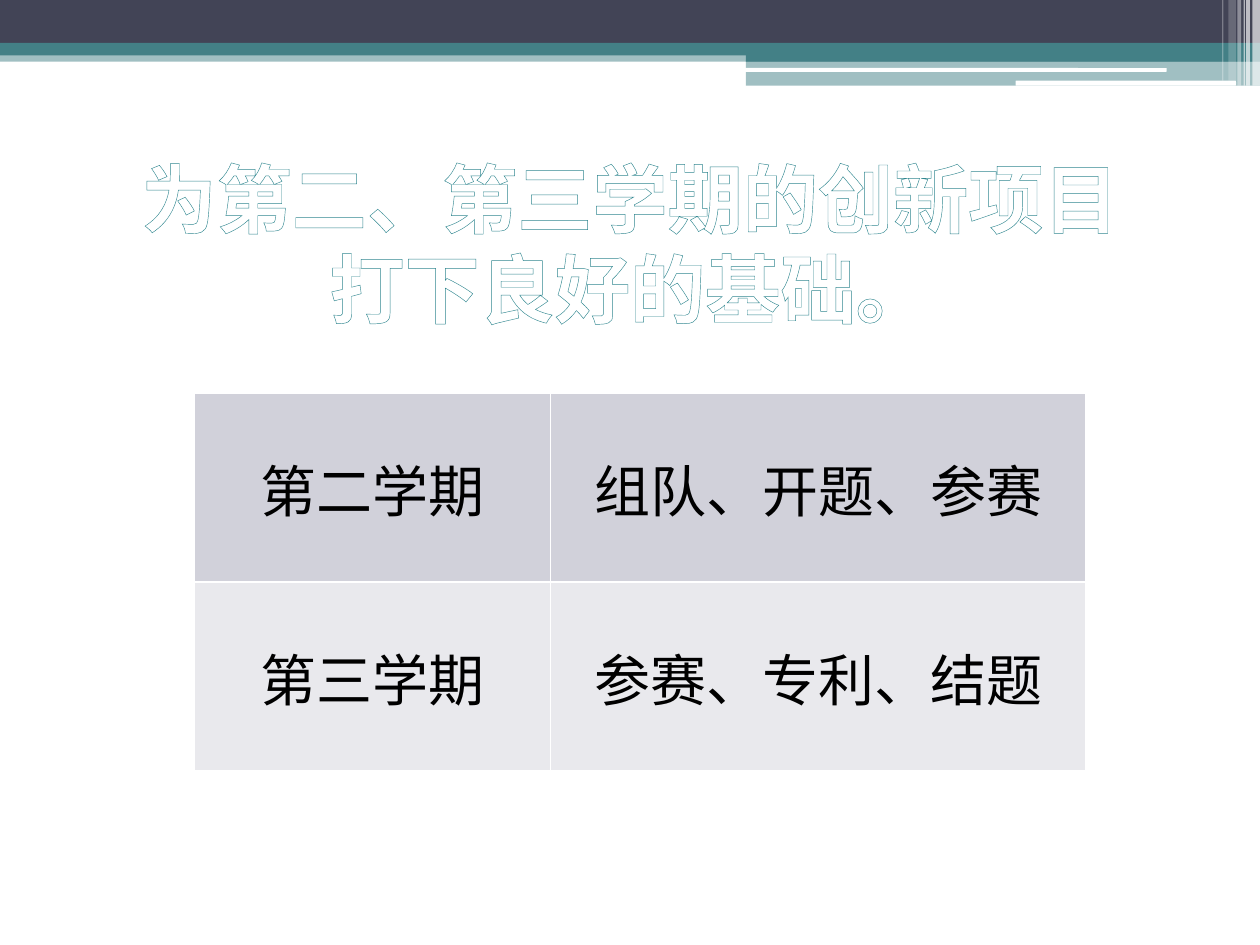
from lxml import etree
from pptx import Presentation
from pptx.dml.color import RGBColor
from pptx.enum.shapes import MSO_SHAPE
from pptx.enum.text import MSO_ANCHOR, MSO_AUTO_SIZE, PP_ALIGN
from pptx.oxml.ns import qn
from pptx.util import Inches, Pt

RECT, ROUND = MSO_SHAPE.RECTANGLE, MSO_SHAPE.ROUNDED_RECTANGLE
MID, LOW = MSO_ANCHOR.MIDDLE, MSO_ANCHOR.BOTTOM
CENTER, FIXED = PP_ALIGN.CENTER, MSO_AUTO_SIZE.NONE
COLORS = {"white": "FFFFFF", "black": "000000", "navy": "424456",
          "teal": "438086", "edge": "308790",
          "dark": "D1D1DA", "light": "E9E9ED"}


class Deck:
    head, body = "Roboto", "Noto Serif"

    def __init__(self):
        self.prs = Presentation()
        self.prs.slide_width, self.prs.slide_height = Inches(10), Inches(7.5)
        self.slide = self.prs.slides.add_slide(self.prs.slide_layouts[5])

    def paint(self, fill, color):
        fill.solid()
        fill.fore_color.rgb = RGBColor.from_string(COLORS[color])

    def line(self, parent, tag, color, width=1):
        ln = etree.SubElement(parent, qn(tag), w=str(Pt(width)))
        fill = etree.SubElement(ln, qn("a:solidFill"))
        etree.SubElement(fill, qn("a:srgbClr"), val=COLORS[color])
        return ln

    def bar(self, box, color, alpha=100, kind=RECT):
        bar = self.slide.shapes.add_shape(kind, *map(Inches, box))
        bar.shadow.inherit = False
        bar.line.fill.background()
        self.paint(bar.fill, color)
        if alpha < 100:
            clr = bar.fill._xPr.find(".//" + qn("a:srgbClr"))
            etree.SubElement(clr, qn("a:alpha"), val=str(alpha * 1000))

    def run(self, para, text, font, size, color, bold=False):
        para.alignment = CENTER
        run = para.add_run()
        run.text = text
        run.font.name, run.font.size, run.font.bold = font, Pt(size), bold
        self.paint(run.font.fill, color)
        return run

    def title(self, box, text):
        shape = self.slide.shapes.title
        shape.left, shape.top, shape.width, shape.height = map(Inches, box)
        frame = shape.text_frame
        frame.word_wrap, frame.auto_size = True, FIXED
        frame.vertical_anchor, frame.margin_bottom = LOW, 0
        para = frame.paragraphs[0]
        para.line_spacing = Pt(51.5)
        run = self.run(para, text, self.head, 43, "white", True)
        props = run.font._element
        props.insert(0, self.line(props, "a:ln", "edge"))

    def table(self, left, top, cols, height, rows, fills):
        grid = self.slide.shapes.add_table(
            len(rows), len(cols), Inches(left), Inches(top),
            Inches(sum(cols)), Inches(height * len(rows))).table
        for col, width in zip(grid.columns, cols):
            col.width = Inches(width)
        for r, (row, fill) in enumerate(zip(rows, fills)):
            grid.rows[r].height = Inches(height)
            for c, text in enumerate(row):
                self.cell(grid.cell(r, c), text, fill)

    def cell(self, cell, text, fill):
        cell.vertical_anchor = MID
        self.run(cell.text_frame.paragraphs[0], text, self.body, 32, "black")
        # Borders come before the fill in the cell properties
        props = cell._tc.get_or_add_tcPr()
        for side in "LRTB":
            self.line(props, "a:ln" + side, "white")
        self.paint(cell.fill, fill)


deck = Deck()

# Header bands
deck.bar((0, 0.4, 10, 0.09), "teal", 50)
deck.bar((0, 0, 10, 0.34), "navy")
deck.bar((0, 0.34, 10, 0.1), "teal")
deck.bar((5.92, 0.39, 4.08, 0.1), "teal")
deck.bar((5.92, 0.48, 4.08, 0.2), "teal", 50)
deck.bar((5.91, 0.54, 3.35, 0.03), "white", kind=ROUND)
deck.bar((8.06, 0.64, 1.75, 0.04), "white", kind=ROUND)

# Pale stripes at the right edge
for left, width, height, alpha in (
        (9.94, 0.06, 0.68, 65), (9.89, 0.03, 0.68, 65),
        (9.87, 0.01, 0.68, 60), (9.82, 0.03, 0.68, 40),
        (9.75, 0.06, 0.64, 20), (9.7, 0.01, 0.64, 30)):
    deck.bar((left, 0, width, height), "white", alpha)

# Title and term plan
deck.title((0.75, 1.15, 8.5, 1.49), "为第二、第三学期的创新项目打下良好的基础。")
deck.table(1.54, 3.12, (2.83, 4.25), 1.5,
           (("第二学期", "组队、开题、参赛"),
            ("第三学期", "参赛、专利、结题")), ("dark", "light"))

deck.prs.save("out.pptx")
